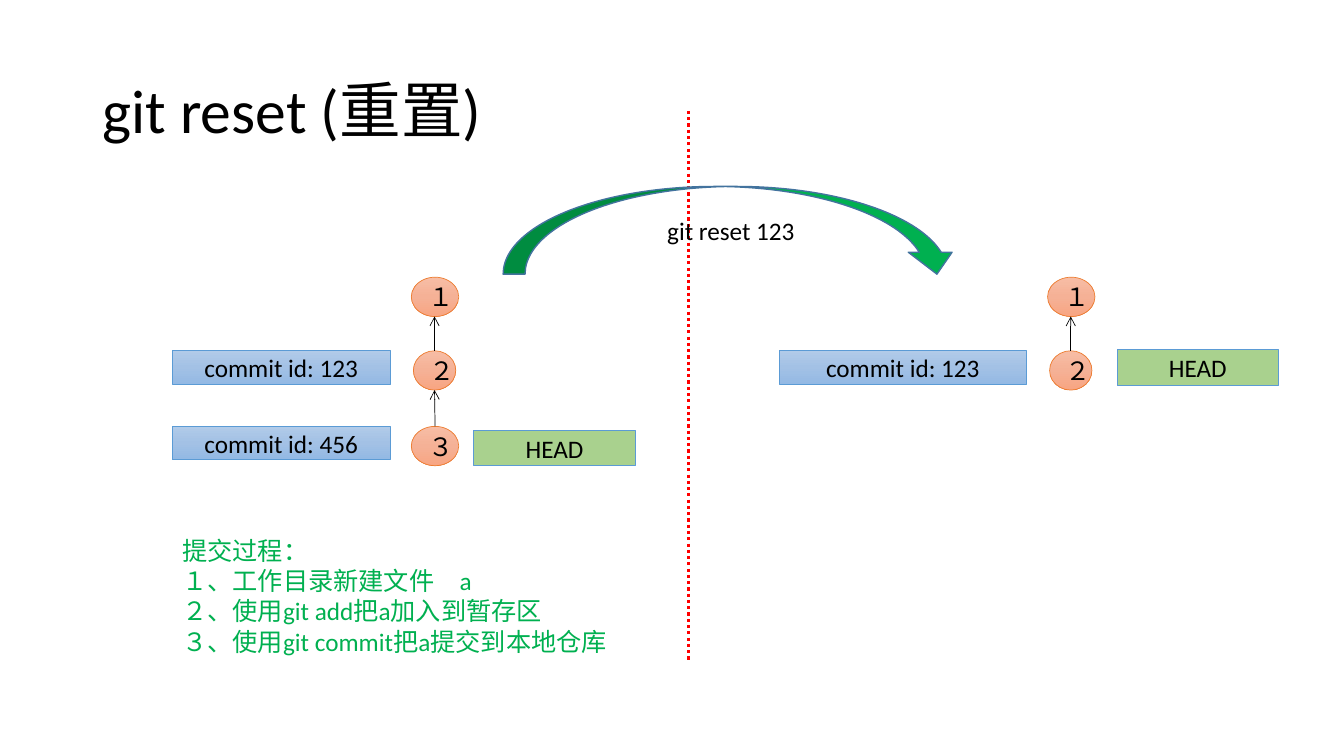
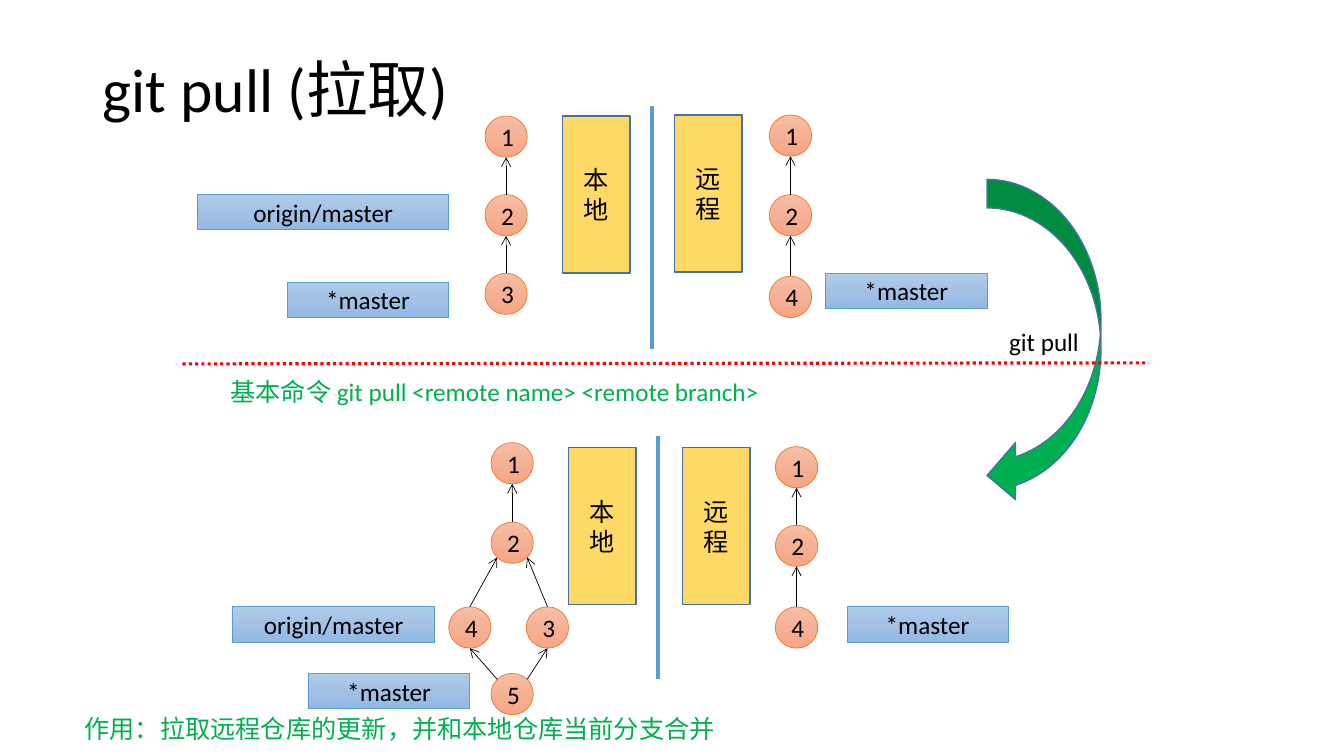
from copy import deepcopy
from dataclasses import dataclass
from math import cos, radians, sin

from lxml.etree import SubElement
from pptx import Presentation
from pptx.dml.color import RGBColor
from pptx.enum.dml import MSO_LINE_DASH_STYLE as Dash
from pptx.enum.shapes import MSO_CONNECTOR as Connector, MSO_SHAPE as Preset
from pptx.enum.text import MSO_ANCHOR as Anchor, PP_ALIGN as Align
from pptx.oxml.ns import qn
from pptx.util import Emu, Pt

EMU_PER_PX = 9144
FONT = "Calibri"
COLORS = {
    "text": "000000",
    "green": "00B050",
    "red": "FF0000",
    "blue": "5B9BD5",
    "dark_blue": "43739E",
    "orange": "ED7D31",
    "head": "A9D18E",
    "zone": "FFD966",
    "node_top": "F7BDA5",
    "node_middle": "F5B196",
    "node_bottom": "F8A582",
    "label_top": "B1CBE9",
    "label_middle": "A3C1E5",
    "label_bottom": "93B9E4",
}
TOP, TOP_LEFT, BOTTOM_LEFT, BOTTOM, BOTTOM_RIGHT, TOP_RIGHT = 0, 1, 3, 4, 5, 7


@dataclass(frozen=True)
class Style:
    preset: Preset
    fill: tuple[str, ...]
    line: str
    weight: float


@dataclass(frozen=True)
class Box:
    style: str
    text: str
    left: int
    top: int
    width: int
    height: int


@dataclass(frozen=True)
class Node:
    text: str
    center: int
    top: int
    width: int = 42
    height: int = 41


@dataclass(frozen=True)
class Link:
    child: int
    parent: int
    start: int = TOP
    end: int = BOTTOM


@dataclass(frozen=True)
class Graph:
    nodes: tuple[Node, ...]
    links: tuple[Link, ...]


STYLES = {
    "node": Style(Preset.OVAL, ("node_top", "node_middle", "node_bottom"), "orange", 0.5),
    "label": Style(Preset.RECTANGLE, ("label_top", "label_middle", "label_bottom"), "blue", 0.5),
    "head": Style(Preset.RECTANGLE, ("head",), "blue", 0.5),
    "zone": Style(Preset.RECTANGLE, ("zone",), "dark_blue", 1),
    "down_arrow": Style(Preset.CURVED_DOWN_ARROW, ("green",), "dark_blue", 1),
    "left_arrow": Style(Preset.CURVED_LEFT_ARROW, ("green",), "dark_blue", 1),
}


def px(value: float) -> Emu:
    return Emu(round(value * EMU_PER_PX))


def rgb(name: str) -> RGBColor:
    return RGBColor.from_string(COLORS[name])


def write_text(shape, text: str, *, size: int = 18, color: str = "text",
               align=Align.LEFT, anchor=Anchor.TOP, spacing: float = 1.0) -> None:
    frame = shape.text_frame
    frame.word_wrap = True
    frame.vertical_anchor = anchor
    for index, line in enumerate(text.split("\n")):
        para = frame.add_paragraph() if index else frame.paragraphs[0]
        para.alignment = align
        para.line_spacing = spacing
        span = para.add_run()
        span.text = line
        span.font.name = FONT
        span.font.size = Pt(size)
        span.font.color.rgb = rgb(color)


def add_text(page, text: str, left: int, top: int, width: int, height: int, **text_format) -> None:
    box = page.shapes.add_textbox(px(left), px(top), px(width), px(height))
    write_text(box, text, **text_format)


def add_title(page, text: str, width: int, height: int) -> None:
    add_text(page, text, 92, 40, width, height, size=44, anchor=Anchor.MIDDLE, spacing=0.9)


def fill_shape(shape, names: tuple[str, ...]) -> None:
    fill = shape.fill
    if len(names) == 1:
        fill.solid()
        fill.fore_color.rgb = rgb(names[0])
        return
    fill.gradient()
    fill.gradient_angle = 270
    stop_list = shape._element.spPr.find(f".//{qn('a:gsLst')}")
    stop_list.insert(1, deepcopy(stop_list[0]))
    for index, (stop, name) in enumerate(zip(fill.gradient_stops, names)):
        stop.position = index / (len(names) - 1)
        stop.color.rgb = rgb(name)


def add_box(page, box: Box):
    style = STYLES[box.style]
    shape = page.shapes.add_shape(
        style.preset, px(box.left), px(box.top), px(box.width), px(box.height))
    shape.shadow.inherit = False
    fill_shape(shape, style.fill)
    shape.line.color.rgb = rgb(style.line)
    shape.line.width = Pt(style.weight)
    write_text(shape, box.text, align=Align.CENTER, anchor=Anchor.MIDDLE)
    return shape


def add_line(page, start: tuple[float, float], end: tuple[float, float], *,
             color: str = "text", weight: float = 0.5, dash=None, arrow: bool = False):
    line = page.shapes.add_connector(Connector.STRAIGHT, *map(px, (*start, *end)))
    line.line.color.rgb = rgb(color)
    line.line.width = Pt(weight)
    if dash is not None:
        line.line.dash_style = dash
    properties = line._element.spPr
    if arrow:
        SubElement(properties.find(qn("a:ln")), qn("a:tailEnd"), type="arrow")
    SubElement(properties, qn("a:effectLst"))
    return line


def node_site(node: Node, site: int) -> tuple[float, float]:
    angle = radians(90 + 45 * site)
    return (node.center + node.width / 2 * cos(angle),
            node.top + node.height / 2 * (1 - sin(angle)))


def add_graph(page, graph: Graph) -> None:
    shapes = [
        add_box(page, Box("node", node.text, node.center - node.width // 2,
                          node.top, node.width, node.height))
        for node in graph.nodes
    ]
    for link in graph.links:
        line = add_line(page, node_site(graph.nodes[link.child], link.start),
                        node_site(graph.nodes[link.parent], link.end), arrow=True)
        if link.start == TOP:
            line.begin_connect(shapes[link.child], TOP)


def chain(*nodes: Node) -> Graph:
    return Graph(nodes, tuple(Link(index, index - 1) for index in range(1, len(nodes))))


def reset_chain(center: int, count: int) -> Graph:
    nodes = (Node("１", center, 275, 47, 39), Node("２", center, 348, 42, 39),
             Node("３", center, 423, 47, 39))
    return chain(*nodes[:count])


def draw_scene(page, graphs: tuple[Graph, ...], boxes: tuple[Box, ...]) -> None:
    for graph in graphs:
        add_graph(page, graph)
    for box in boxes:
        add_box(page, box)


def build_reset(page) -> None:
    add_title(page, "git reset (重置)", 1150, 145)
    add_line(page, (683, 110), (683, 657), color="red", weight=2.25, dash=Dash.ROUND_DOT)
    draw_scene(page, (reset_chain(431, 3), reset_chain(1062, 2)), (
        Box("label", "commit id: 123", 171, 348, 216, 33),
        Box("label", "commit id: 456", 171, 423, 216, 33),
        Box("label", "commit id: 123", 773, 348, 245, 33),
        Box("down_arrow", "git reset 123", 499, 185, 452, 87),
        Box("head", "HEAD", 470, 427, 160, 35),
        Box("head", "HEAD", 1108, 347, 160, 35),
    ))
    steps = ("提交过程：", "１、工作目录新建文件　a", "２、使用git add把a加入到暂存区",
             "３、使用git commit把a提交到本地仓库")
    add_text(page, "\n".join(steps), 171, 526, 492, 131, color="green")


def build_pull(page) -> None:
    add_title(page, "git pull (拉取)", 1128, 104)
    for left, top in ((647, 105), (653, 433)):
        add_line(page, (left, top), (left, top + 241), color="blue", weight=3)
    merge = Graph(
        (Node("1", 508, 439), Node("2", 508, 518), Node("3", 543, 602),
         Node("4", 466, 602), Node("5", 508, 668)),
        (Link(1, 0), Link(3, 1, end=BOTTOM_LEFT), Link(2, 1, end=BOTTOM_RIGHT),
         Link(4, 3, start=TOP_LEFT), Link(4, 2, start=TOP_RIGHT)),
    )
    graphs = (
        chain(Node("1", 502, 115), Node("2", 502, 193), Node("3", 502, 271)),
        chain(Node("1", 784, 114), Node("2", 784, 193), Node("4", 784, 274)),
        merge,
        chain(Node("1", 790, 443), Node("2", 790, 521), Node("4", 790, 602)),
    )
    draw_scene(page, graphs, (
        Box("label", "origin/master", 196, 193, 249, 35),
        Box("label", "*master", 285, 280, 160, 35),
        Box("label", "*master", 819, 271, 160, 35),
        Box("zone", "本地", 558, 115, 67, 156),
        Box("zone", "远程", 669, 114, 67, 156),
        Box("label", "origin/master", 231, 602, 200, 35),
        Box("label", "*master", 306, 668, 160, 35),
        Box("label", "*master", 840, 602, 160, 35),
        Box("zone", "本地", 564, 444, 67, 156),
        Box("zone", "远程", 677, 444, 67, 156),
        Box("left_arrow", "git pull", 979, 178, 113, 322),
    ))
    add_line(page, (181, 361), (1139, 360), color="red", weight=2.25, dash=Dash.ROUND_DOT)
    add_text(page, "基本命令 git pull <remote name> <remote branch>", 16, 368, 949, 40,
             color="green", align=Align.CENTER)
    add_text(page, "作用：拉取远程仓库的更新，并和本地仓库当前分支合并", 74, 703, 1132, 40,
             color="green")


def main() -> None:
    deck = Presentation()
    deck.slide_width, deck.slide_height = px(1333), px(750)
    for build in (build_reset, build_pull):
        build(deck.slides.add_slide(deck.slide_layouts[6]))
    deck.save("out.pptx")


if __name__ == "__main__":
    main()
